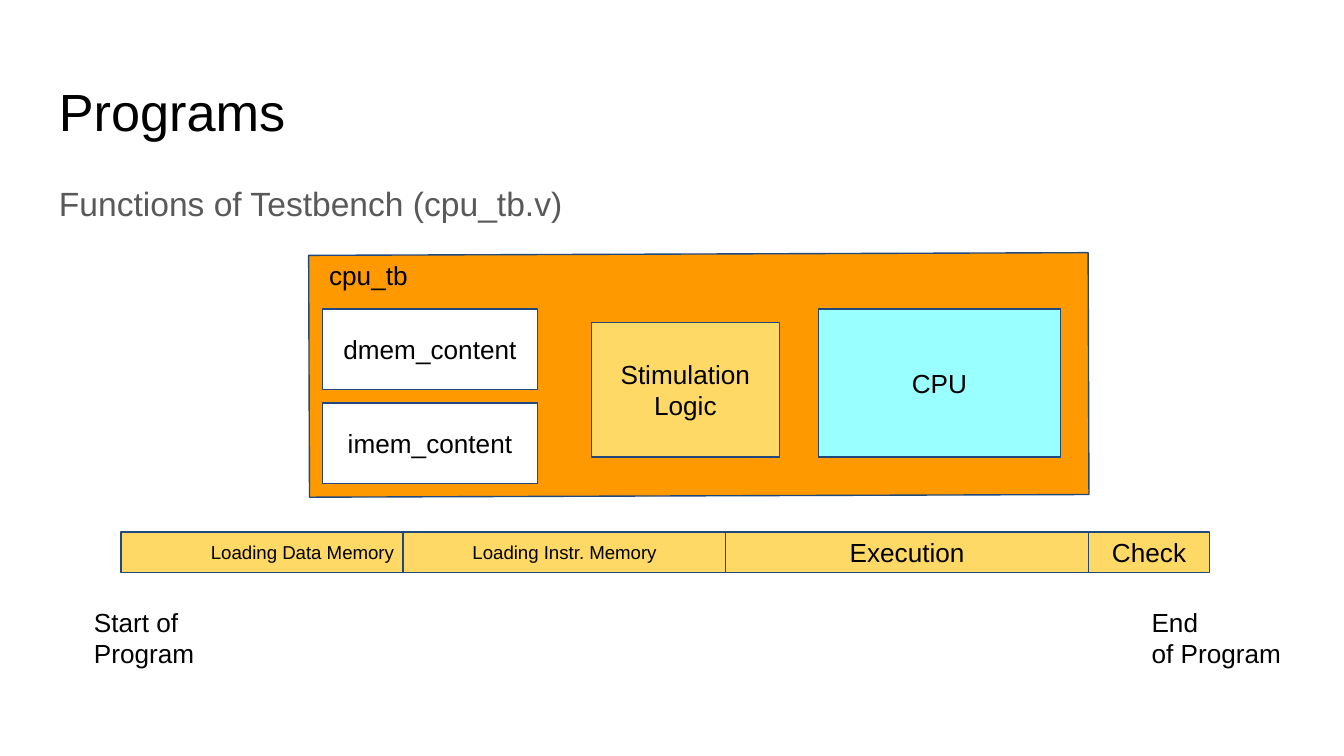
"""Build the testbench overview slide with its program timeline."""
from dataclasses import dataclass
from itertools import accumulate

from pptx import Presentation
from pptx.dml.color import RGBColor as Rgb
from pptx.enum.shapes import MSO_SHAPE as Preset
from pptx.enum.text import MSO_ANCHOR as Anchor, PP_ALIGN as Align
from pptx.util import Inches, Pt


@dataclass(frozen=True)
class Theme:
    font: str = "Arial"
    ink: str = "000000"
    muted: str = "595959"
    outline: str = "1F497D"
    bench: str = "FF9900"
    stage: str = "FFD966"
    memory: str = "FFFFFF"
    cpu: str = "99FFFF"
    title: float = 28
    subtitle: float = 18
    body: float = 14
    small: float = 10
    line: float = 0.75


THEME = Theme()


@dataclass(frozen=True)
class Block:
    text: str
    left: float
    top: float
    width: float
    height: float
    fill: str
    size: float = THEME.body
    rotation: float = 0


@dataclass(frozen=True)
class Label:
    text: str
    left: float
    top: float
    width: float
    height: float
    size: float = THEME.body
    color: str = THEME.ink
    inset: float = 0.05


@dataclass(frozen=True)
class Phase:
    text: str
    span: float
    size: float = THEME.body
    overlap: float = 0


def write_text(frame, text: str, size: float, color: str, inset: float,
               align: Align, anchor: Anchor) -> None:
    """Fill a text frame with evenly formatted paragraphs."""
    layout = {
        "text": text,
        "word_wrap": True,
        "vertical_anchor": anchor,
        "margin_left": Inches(0.1),
        "margin_right": Inches(0.1),
        "margin_top": Inches(inset),
        "margin_bottom": Inches(inset),
    }
    for name, value in layout.items():
        setattr(frame, name, value)
    for paragraph in frame.paragraphs:
        paragraph.alignment = align
        for run in paragraph.runs:
            for name, value in {"name": THEME.font, "size": Pt(size)}.items():
                setattr(run.font, name, value)
            run.font.color.rgb = Rgb.from_string(color)


def draw_block(slide, block: Block) -> None:
    """Draw a filled, outlined rectangle with centred text."""
    box = slide.shapes.add_shape(
        Preset.RECTANGLE, Inches(block.left), Inches(block.top),
        Inches(block.width), Inches(block.height))
    box.shadow.inherit = False
    box.rotation = block.rotation
    box.fill.solid()
    box.fill.fore_color.rgb = Rgb.from_string(block.fill)
    box.line.color.rgb = Rgb.from_string(THEME.outline)
    box.line.width = Pt(THEME.line)
    if block.text:
        write_text(box.text_frame, block.text, block.size, THEME.ink, 0.1,
                   Align.CENTER, Anchor.MIDDLE)


def draw_label(slide, label: Label) -> None:
    """Draw left-aligned text without a frame."""
    box = slide.shapes.add_textbox(
        Inches(label.left), Inches(label.top),
        Inches(label.width), Inches(label.height))
    write_text(box.text_frame, label.text, label.size, label.color,
               label.inset, Align.LEFT, Anchor.TOP)


def draw_timeline(slide, phases: list[Phase], left: float, top: float) -> None:
    """Lay the program phases end to end."""
    starts = accumulate((phase.span for phase in phases), initial=left)
    for phase, start in zip(phases, starts):
        draw_block(slide, Block(phase.text, start, top,
                                phase.span + phase.overlap, 0.3,
                                THEME.stage, phase.size))


HEADINGS = [
    Label("Programs", 0.34, 0.49, 9.32, 0.63, THEME.title, inset=0.1),
    Label("Functions of Testbench (cpu_tb.v)", 0.34, 1.26, 9.32, 3.74,
          THEME.subtitle, THEME.muted, 0.1),
]
PHASES = [
    Phase("Loading Data Memory", 2.1, THEME.small, 0.6),
    Phase("Loading Instr. Memory", 2.4, THEME.small),
    Phase("Execution", 2.7),
    Phase("Check", 0.9),
]
TIMELINE_ENDS = [
    Label("Start of Program", 0.6, 4.46, 1.35, 0.54),
    Label("End\nof Program", 8.47, 4.46, 1.63, 0.54),
]
TESTBENCH = Block("", 2.3, 1.89, 5.8, 1.8, THEME.bench, rotation=359.8)
TESTBENCH_NAME = Label("cpu_tb", 2.35, 1.88, 1.45, 0.32)
MEMORIES = [
    Block(name, 2.4, 2.3 + 0.7 * row, 1.6, 0.6, THEME.memory)
    for row, name in enumerate(["dmem_content", "imem_content"])
]
UNITS = [
    Block("CPU", 6.09, 2.3, 1.8, 1.1, THEME.cpu),
    Block("Stimulation Logic", 4.4, 2.4, 1.4, 1, THEME.stage),
]


def main() -> None:
    """Assemble and save the slide."""
    deck = Presentation()
    deck.slide_width = Inches(10)
    deck.slide_height = Inches(10 * 9 / 16)
    slide = deck.slides.add_slide(deck.slide_layouts[6])
    for heading in HEADINGS:
        draw_label(slide, heading)
    draw_timeline(slide, PHASES, 0.9, 3.96)
    for end in TIMELINE_ENDS:
        draw_label(slide, end)
    for block in [TESTBENCH, *UNITS]:
        draw_block(slide, block)
    draw_label(slide, TESTBENCH_NAME)
    for memory in MEMORIES:
        draw_block(slide, memory)
    deck.save("out.pptx")


if __name__ == "__main__":
    main()
